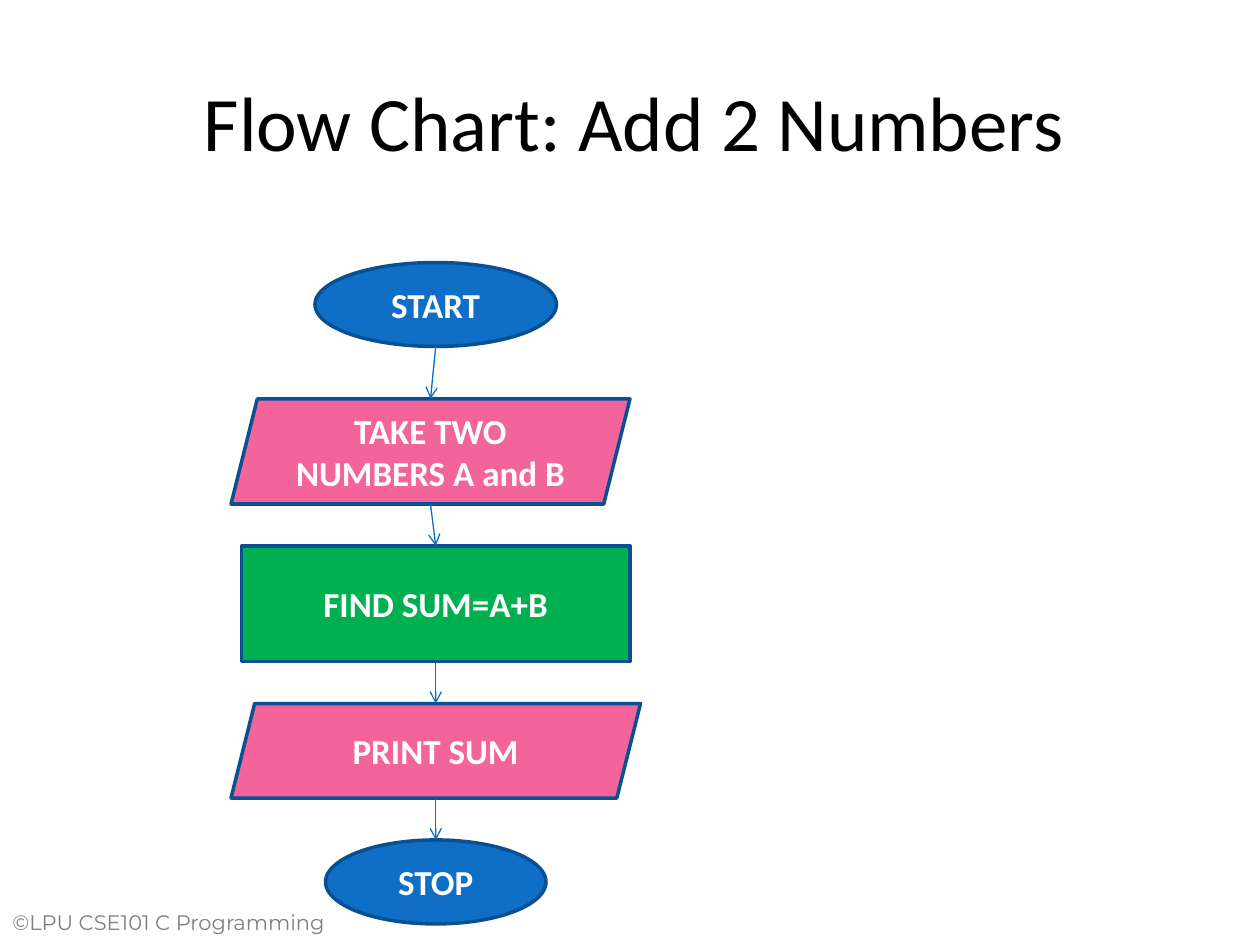
from dataclasses import dataclass
from itertools import pairwise

from lxml.etree import SubElement
from pptx import Presentation
from pptx.dml.color import RGBColor as Rgb
from pptx.enum.shapes import MSO_CONNECTOR as Link, MSO_SHAPE as Form
from pptx.enum.text import MSO_ANCHOR as Anchor, PP_ALIGN as Align
from pptx.oxml.ns import qn
from pptx.util import Inches, Pt


@dataclass(frozen=True)
class Theme:
    """Colours, fonts and sizes of the slide."""
    ink: str = "000000"
    pale: str = "FFFFFF"
    grey: str = "7F7F7F"
    blue: str = "0F6FC6"
    pink: str = "F2649A"
    green: str = "00B050"
    edge: str = "085091"
    arrow: str = "0A6DC6"
    face: str = "Calibri"
    foot: str = "Montserrat"
    head: int = 44
    body: int = 20
    note: int = 12


LOOK = Theme()
COLS, ROWS = 120, 90
UNIT = Inches(10) // COLS
STEPS = [
    ("START", Form.OVAL, LOOK.blue, (8, 0, 23, 8)),
    ("TAKE TWO NUMBERS A and B", Form.PARALLELOGRAM, LOOK.pink, (0, 13, 38, 10)),
    ("FIND SUM=A+B", Form.RECTANGLE, LOOK.green, (1, 27, 37, 11)),
    ("PRINT SUM", Form.PARALLELOGRAM, LOOK.pink, (0, 42, 39, 9)),
    ("STOP", Form.OVAL, LOOK.blue, (9, 55, 21, 8)),
]


def grid(*cells):
    """Turn grid cells into lengths."""
    return [round(cell * UNIT) for cell in cells]


def write(frame, text, face, size, tint, align, bold=False):
    """Put one styled paragraph in a text frame."""
    frame.word_wrap = True
    frame.text = text
    para = frame.paragraphs[0]
    para.alignment = align
    font = para.font
    font.name, font.size, font.bold = face, Pt(size), bold
    font.color.rgb = Rgb.from_string(tint)


def title(slide, box):
    """Place and format the title."""
    head = slide.shapes.title
    head.left, head.top, head.width, head.height = grid(*box)
    head.text_frame.vertical_anchor = Anchor.MIDDLE
    write(head.text_frame, "Flow Chart: Add 2 Numbers", LOOK.face, LOOK.head, LOOK.ink, Align.CENTER)


def step(slide, text, form, tint, box):
    """Draw one step of the flow chart."""
    node = slide.shapes.add_shape(form, *grid(*box))
    node.shadow.inherit = False
    node.fill.solid()
    node.fill.fore_color.rgb = Rgb.from_string(tint)
    node.line.color.rgb = Rgb.from_string(LOOK.edge)
    node.line.width = Pt(2)
    node.text_frame.vertical_anchor = Anchor.MIDDLE
    write(node.text_frame, text, LOOK.face, LOOK.body, LOOK.pale, Align.CENTER, True)
    return node


def arrow(slide, above, below):
    """Join the bottom of one step to the top of the next."""
    line = slide.shapes.add_connector(
        Link.STRAIGHT,
        above.left + above.width // 2, above.top + above.height,
        below.left + below.width // 2, below.top,
    )
    line.line.color.rgb = Rgb.from_string(LOOK.arrow)
    line.line.width = Pt(0.75)
    SubElement(line.line._get_or_add_ln(), qn("a:tailEnd"), type="arrow")
    SubElement(line._element.spPr, qn("a:effectLst"))


def flow(slide, box):
    """Draw the steps and their arrows inside the box."""
    left, top = box[:2]
    nodes = [
        step(slide, text, form, tint, (left + x, top + y, wide, high))
        for text, form, tint, (x, y, wide, high) in STEPS
    ]
    for above, below in pairwise(nodes):
        arrow(slide, above, below)


def footer(slide, box):
    """Write the copyright line."""
    note = slide.shapes.add_textbox(*grid(*box))
    write(note.text_frame, "©LPU CSE101 C Programming", LOOK.foot, LOOK.note, LOOK.grey, Align.LEFT)


def main():
    """Build and save the slide."""
    deck = Presentation()
    deck.slide_width, deck.slide_height = grid(COLS, ROWS)
    slide = deck.slides.add_slide(deck.slide_layouts[5])
    footer(slide, (0, 86, 36, 5))
    title(slide, (6.4, 4, 108, 15))
    flow(slide, (22, 25, 39, 63))
    deck.save("out.pptx")


if __name__ == "__main__":
    main()
